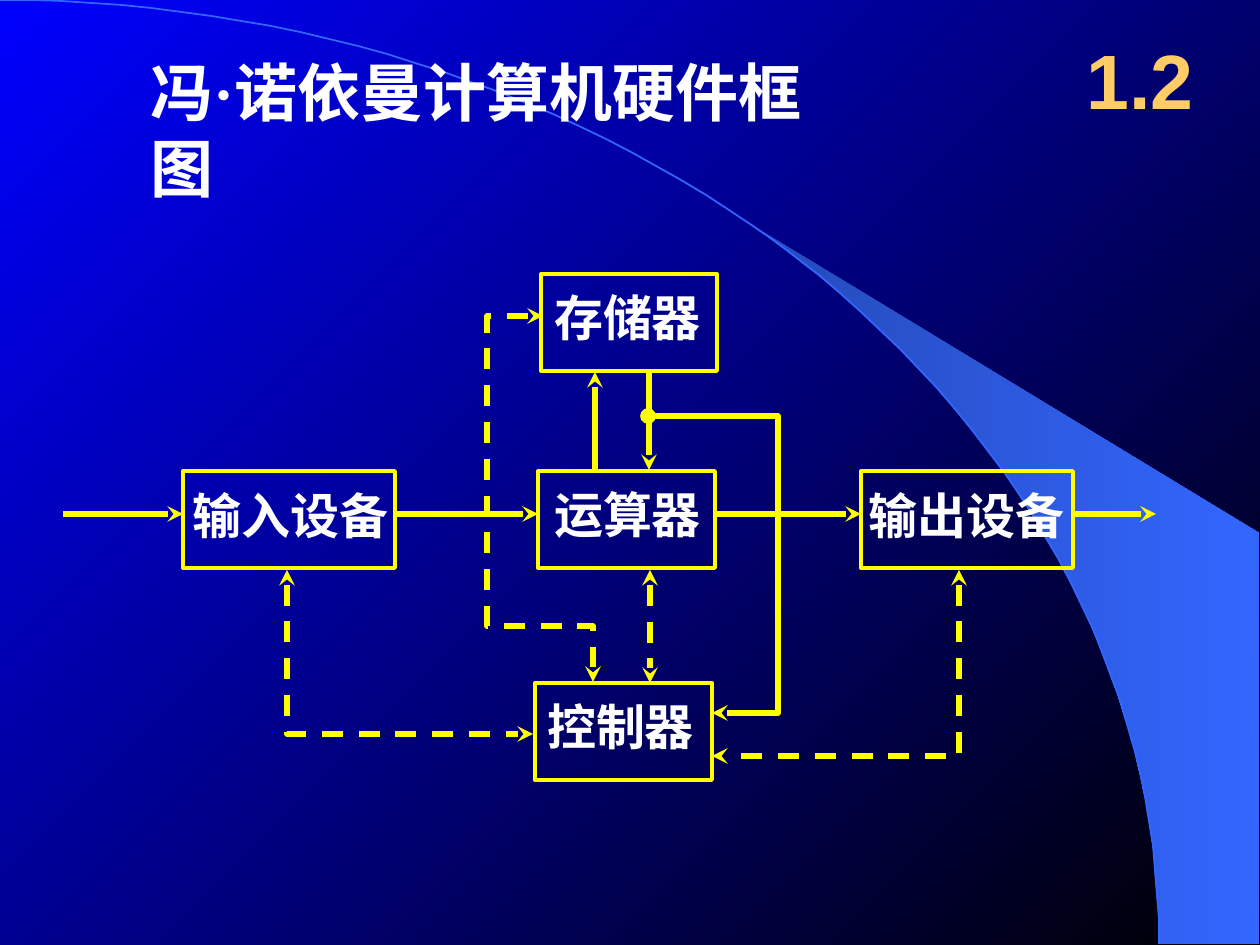
from dataclasses import dataclass
from math import asin, cos, pi, sin

from lxml.etree import SubElement
from pptx import Presentation
from pptx.dml.color import RGBColor
from pptx.enum.dml import MSO_LINE
from pptx.enum.shapes import MSO_CONNECTOR as Connector
from pptx.enum.shapes import MSO_SHAPE as Preset
from pptx.enum.text import MSO_ANCHOR as Anchor
from pptx.enum.text import PP_ALIGN as Align
from pptx.oxml.ns import qn
from pptx.util import Emu, Pt

SCALE = 914400 / 126
COLORS = {
    "sky": "0000FF", "night": "000000", "arc": "3366FF", "beam": "2449B6",
    "line": "FFFF00", "text": "FFFFFF", "number": "FFCC66",
}
CJK = "Noto Sans CJK SC"
UNIT_HEIGHT = 97
LABEL_DROP, LABEL_HEIGHT = 14, 59
ARC_WIDTH, ARC_HEIGHT, ARC_STEPS = 1159, 944, 60
BEAM_START = asin(742 / ARC_WIDTH)


@dataclass(frozen=True)
class Unit:
    name: str
    left: int
    top: int
    width: int
    label_left: int
    label_width: int


@dataclass(frozen=True)
class Flow:
    points: tuple[tuple[int, int], ...]
    head: str = "none"
    tail: str = "stealth"
    dashed: bool = False


UNITS = [
    Unit("存储器", 541, 274, 176, 554, 147),
    Unit("输入设备", 183, 471, 212, 192, 197),
    Unit("运算器", 538, 471, 177, 554, 147),
    Unit("控制器", 535, 683, 177, 547, 147),
    Unit("输出设备", 861, 471, 212, 868, 197),
]
FLOWS = [
    Flow(((287, 570), (287, 734), (533, 734)), "stealth", dashed=True),
    Flow(((543, 316), (487, 316), (487, 626), (593, 626), (593, 682)), "stealth", dashed=True),
    Flow(((650, 570), (650, 683)), "stealth", dashed=True),
    Flow(((959, 570), (959, 756), (712, 756)), "stealth", dashed=True),
    Flow(((595, 471), (595, 372))),
    Flow(((649, 372), (649, 470))),
    Flow(((648, 416), (778, 416), (778, 713), (712, 713)), "oval"),
    Flow(((63, 514), (183, 514))),
    Flow(((394, 514), (538, 514))),
    Flow(((715, 514), (861, 514))),
    Flow(((1074, 514), (1156, 514))),
]


def px(*lengths: int) -> list[Emu]:
    return [Emu(round(length * SCALE)) for length in lengths]


def color(name: str) -> RGBColor:
    return RGBColor.from_string(COLORS[name])


def set_gradient(fill, names: tuple[str, str], angle: int) -> None:
    fill.gradient()
    fill.gradient_angle = angle
    for stop, name in zip(fill.gradient_stops, names):
        stop.color.rgb = color(name)


def set_line(shape, name: str, width: float) -> None:
    shape.line.color.rgb = color(name)
    shape.line.width = Pt(width)


def arc_points(start: float) -> list[tuple[int, int]]:
    angles = [start + (pi / 2 - start) * step / ARC_STEPS for step in range(ARC_STEPS + 1)]
    return [(round(ARC_WIDTH * sin(a)), round(ARC_HEIGHT * (1 - cos(a)))) for a in angles]


def add_outline(page, points, close: bool = False):
    builder = page.shapes.build_freeform(*points[0], scale=SCALE)
    builder.add_line_segments(points[1:], close=close)
    shape = builder.convert_to_shape()
    shape.shadow.inherit = False
    if not close:
        shape.fill.background()
    return shape


def add_text(page, area, spans, size, name="text", align=Align.LEFT,
             inset=(13, 6), anchor=Anchor.TOP, wrap=False) -> None:
    box = page.shapes.add_textbox(*px(*area))
    side, edge = px(*inset)
    frame_format = {
        "word_wrap": wrap, "vertical_anchor": anchor,
        "margin_left": side, "margin_right": side,
        "margin_top": edge, "margin_bottom": edge,
    }
    for key, value in frame_format.items():
        setattr(box.text_frame, key, value)
    para = box.text_frame.paragraphs[0]
    para.alignment = align
    for text, font_name in spans:
        span = para.add_run()
        span.text = text
        for key, value in {"size": Pt(size), "bold": True, "name": font_name}.items():
            setattr(span.font, key, value)
        span.font.color.rgb = color(name)
        SubElement(span.font._element, qn("a:ea"), typeface=font_name)


def add_unit(page, unit: Unit) -> None:
    box = page.shapes.add_shape(
        Preset.RECTANGLE, *px(unit.left, unit.top, unit.width, UNIT_HEIGHT))
    box.shadow.inherit = False
    box.fill.background()
    set_line(box, "line", 2.25)
    area = (unit.label_left, unit.top + LABEL_DROP, unit.label_width, LABEL_HEIGHT)
    add_text(page, area, [(unit.name, CJK)], 28, align=Align.CENTER, inset=(0, 0))


def add_flow(page, flow: Flow) -> None:
    if len(flow.points) == 2:
        start, end = flow.points
        shape = page.shapes.add_connector(Connector.STRAIGHT, *px(*start, *end))
        SubElement(shape._element.spPr, qn("a:effectLst"))
    else:
        shape = add_outline(page, flow.points)
    set_line(shape, "line", 3)
    if flow.dashed:
        shape.line.dash_style = MSO_LINE.DASH
    line = shape._element.spPr.find(qn("a:ln"))
    for tag, kind in (("a:headEnd", flow.head), ("a:tailEnd", flow.tail)):
        SubElement(line, qn(tag), type=kind)


def main() -> None:
    deck = Presentation()
    deck.slide_width, deck.slide_height = px(1260, 945)
    page = deck.slides.add_slide(deck.slide_layouts[6])
    set_gradient(page.background.fill, ("sky", "night"), 315)

    beam = add_outline(page, arc_points(BEAM_START) + [(1259, 944), (1259, 533)], close=True)
    set_gradient(beam.fill, ("beam", "arc"), 0)
    beam.line.fill.background()
    set_line(add_outline(page, arc_points(0)), "arc", 1)

    add_text(page, (1061, 21, 158, 116), [("1.2", "Arial")], 44, "number",
             Align.CENTER, anchor=Anchor.MIDDLE)
    title = [("冯", CJK), ("·", "Times New Roman"), ("诺依曼计算机硬件框图", CJK)]
    add_text(page, (137, 48, 735, 88), title, 36, wrap=True)

    for unit in UNITS:
        add_unit(page, unit)
    for flow in FLOWS:
        add_flow(page, flow)
    deck.save("out.pptx")


if __name__ == "__main__":
    main()
